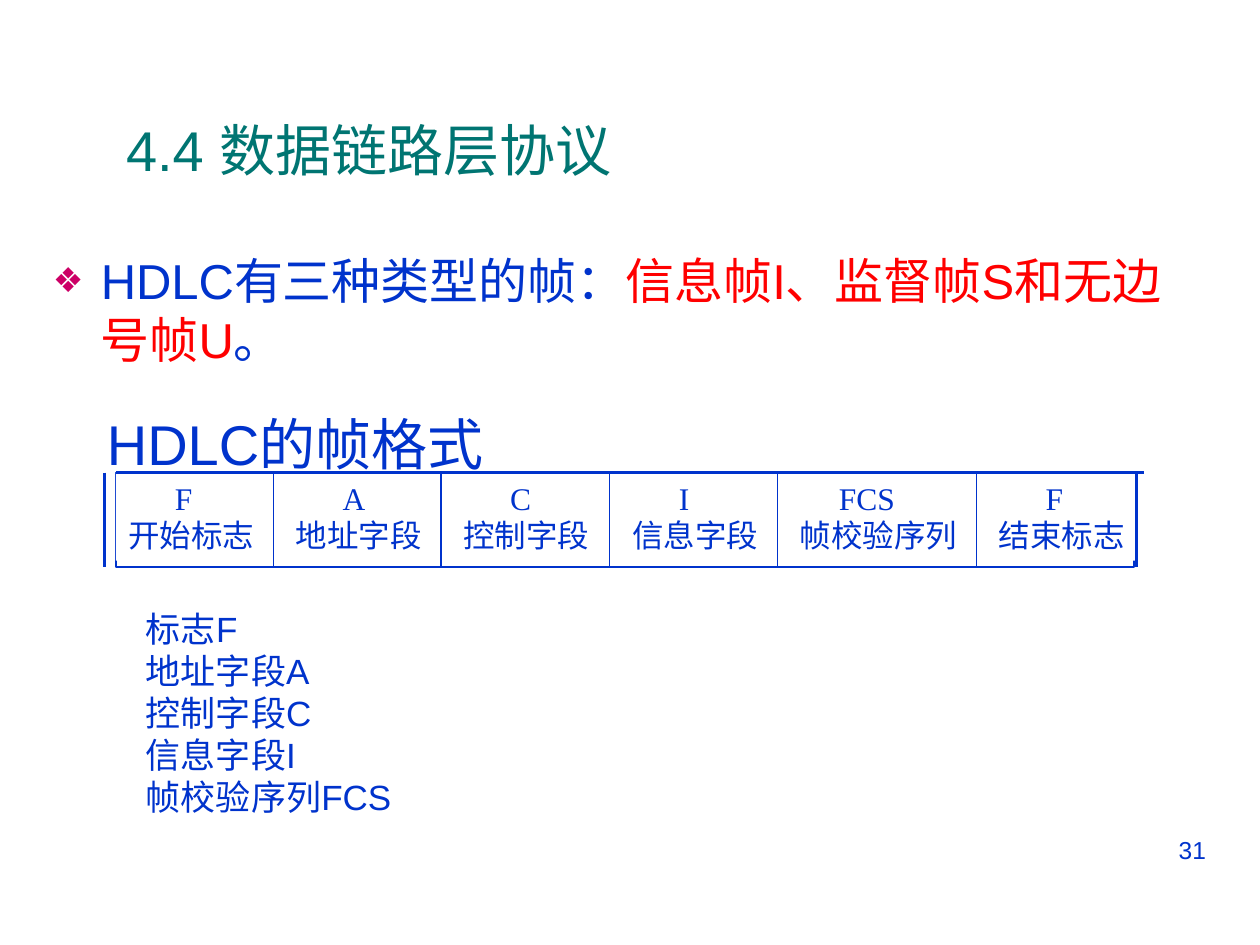
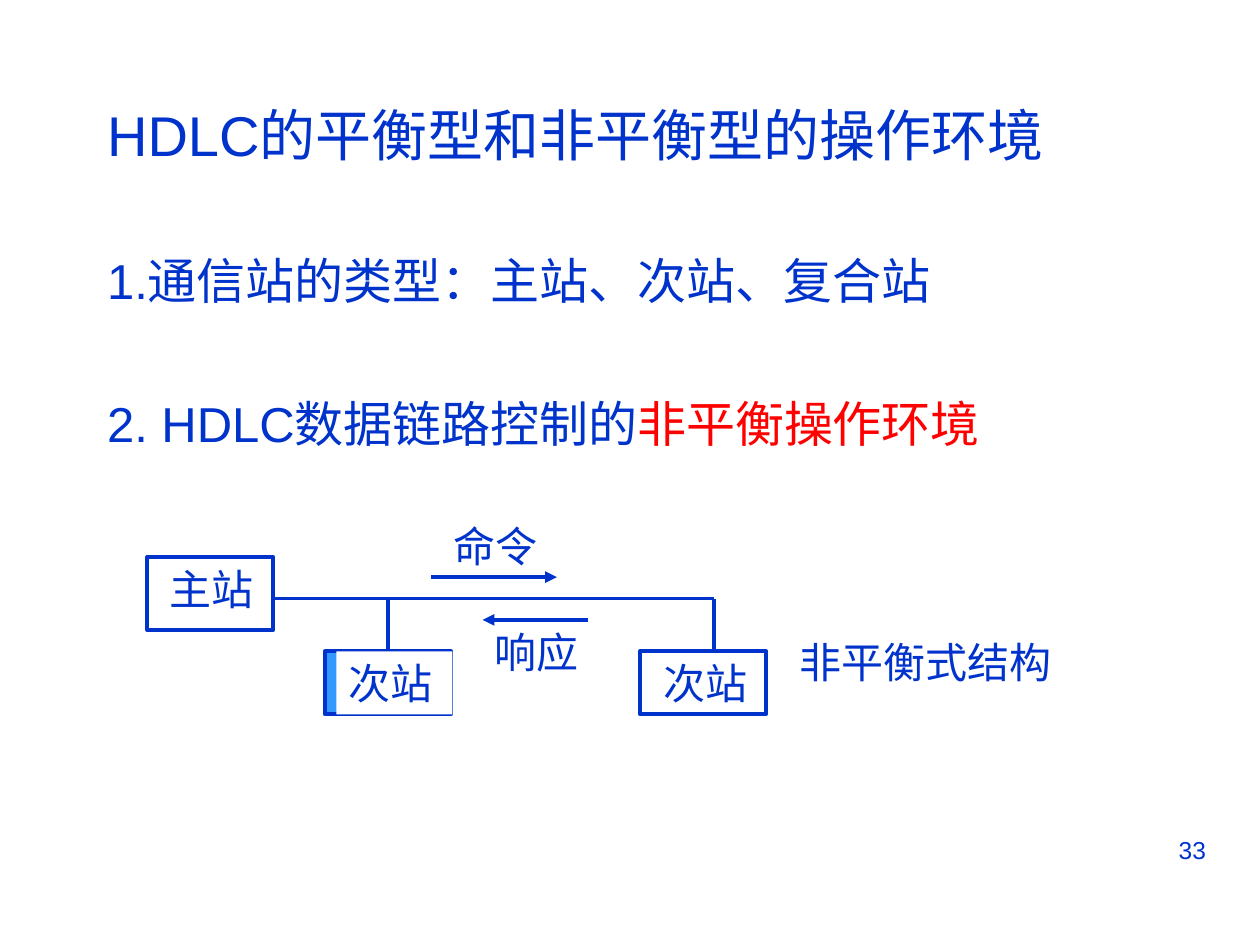
from lxml import etree
from pptx import Presentation
from pptx.dml.color import RGBColor
from pptx.enum.shapes import MSO_CONNECTOR as CONNECTOR, MSO_SHAPE as SHAPE
from pptx.enum.text import MSO_ANCHOR as ANCHOR, MSO_AUTO_SIZE as AUTO_SIZE, PP_ALIGN as ALIGN
from pptx.oxml.ns import qn
from pptx.util import Inches, Pt

COLORS = {"blue": "0033CC", "teal": "007572", "red": "FF0000",
          "magenta": "CC0066", "sky": "3399FF", "white": "FFFFFF"}
SANS, SERIF = "Arial", "Times New Roman"


def color(name):
    """Return the palette colour of that name."""
    return RGBColor.from_string(COLORS[name])


class Deck:
    """Hold the presentation, the shared style and the current slide."""

    def __init__(self):
        """Start an empty 10 by 7.5 inch presentation."""
        self.presentation = Presentation()
        self.presentation.slide_width = Inches(10)
        self.presentation.slide_height = Inches(7.5)
        self.slide = None

    def new_slide(self, number):
        """Add a slide with its page number."""
        layout = self.presentation.slide_layouts[1]
        self.slide = self.presentation.slides.add_slide(layout)
        self.label(str(number), 7.17, 6.58, 2.5, 0.52, size=14, font=SANS, align=ALIGN.RIGHT)

    def place(self, shape, left, top, width, height):
        """Move and size a shape."""
        shape.left, shape.top = Inches(left), Inches(top)
        shape.width, shape.height = Inches(width), Inches(height)

    def indent(self, paragraph, margin, first=0.0):
        """Set the left margin and first-line indent of a paragraph."""
        properties = paragraph._p.get_or_add_pPr()
        properties.set("marL", str(Inches(margin)))
        properties.set("indent", str(Inches(first)))
        return properties

    def style(self, paragraph, size, font, tint="blue", align=ALIGN.LEFT):
        """Format a whole paragraph."""
        paragraph.alignment = align
        paragraph.space_before = Pt(0)
        paragraph.font.size = Pt(size)
        paragraph.font.name = font
        if tint:
            paragraph.font.color.rgb = color(tint)

    def fill_text(self, shape, lines, size, font, align=ALIGN.LEFT):
        """Fill a shape with one paragraph per line, from the top."""
        frame = shape.text_frame
        frame.word_wrap = True
        frame.vertical_anchor = ANCHOR.TOP
        frame.text = lines
        for paragraph in frame.paragraphs:
            self.style(paragraph, size, font, align=align)

    def title(self, text, left, top, width, height, tint="blue", anchor=ANCHOR.MIDDLE):
        """Fill the title placeholder."""
        shape = self.slide.shapes.title
        self.place(shape, left, top, width, height)
        frame = shape.text_frame
        frame.text = text
        frame.auto_size = AUTO_SIZE.NONE
        frame.vertical_anchor = anchor
        self.style(frame.paragraphs[0], 32, SANS, tint)

    def body(self, items, left, top, width, height, bullet=None, gap=0):
        """Fill the body placeholder with items made of (text, colour) runs."""
        shape = self.slide.placeholders[1]
        self.place(shape, left, top, width, height)
        frame = shape.text_frame
        frame.auto_size = AUTO_SIZE.NONE
        for index, runs in enumerate(items):
            paragraph = frame.paragraphs[0] if index == 0 else frame.add_paragraph()
            if bullet:
                properties = self.indent(paragraph, 0.38, -0.38)
                tint = etree.SubElement(properties, qn("a:buClr"))
                etree.SubElement(tint, qn("a:srgbClr"), val=COLORS["magenta"])
                etree.SubElement(properties, qn("a:buSzPct"), val="70000")
                etree.SubElement(properties, qn("a:buChar"), char=bullet)
            else:
                properties = self.indent(paragraph, 0)
                etree.SubElement(properties, qn("a:buNone"))
            self.style(paragraph, 28, SANS, None)
            if index:
                paragraph.space_before = Pt(gap)
            for text, name in runs:
                run = paragraph.add_run()
                run.text = text
                run.font.color.rgb = color(name)

    def label(self, text, left, top, width, height, size=24, font=SERIF, align=ALIGN.LEFT):
        """Add a text box."""
        shape = self.slide.shapes.add_textbox(
            Inches(left), Inches(top), Inches(width), Inches(height))
        self.fill_text(shape, text, size, font, align)

    def box(self, left, top, width, height, fill="white", line=None):
        """Add a rectangle, outlined when a line width is given."""
        shape = self.slide.shapes.add_shape(
            SHAPE.RECTANGLE, Inches(left), Inches(top), Inches(width), Inches(height))
        shape.shadow.inherit = False
        shape.fill.solid()
        shape.fill.fore_color.rgb = color(fill)
        if line:
            shape.line.color.rgb = color("blue")
            shape.line.width = Pt(line)
        else:
            shape.line.fill.background()
        return shape

    def line(self, start, end, width=2.25, arrow=False):
        """Add a straight line, with an arrowhead at its end on request."""
        connector = self.slide.shapes.add_connector(
            CONNECTOR.STRAIGHT, *(Inches(value) for value in (*start, *end)))
        connector.line.color.rgb = color("blue")
        connector.line.width = Pt(width)
        properties = connector._element.spPr
        if arrow:
            etree.SubElement(properties.get_or_add_ln(), qn("a:tailEnd"), type="triangle")
        etree.SubElement(properties, qn("a:effectLst"))
        return connector


def frame_format_slide(deck):
    """Build the slide on HDLC frame types and fields."""
    deck.new_slide(31)
    deck.title("4.4 数据链路层协议", 0.9, 0.75, 8.77, 0.87, tint="teal")
    deck.body([[("HDLC有三种类型的帧：", "blue"),
                ("信息帧I、监督帧S和无边号帧U", "red"), ("。", "blue")]],
              0.32, 1.94, 9.34, 1.2, bullet="❖")
    deck.label("HDLC的帧格式", 0.75, 3.2, 8.5, 0.55, size=32, font=SANS)

    top, bottom = 3.75, 4.5
    fields = [("F", "开始标志", 0.92, 1.25), ("A", "地址字段", 2.25, 1.25),
              ("C", "控制字段", 3.58, 1.25), ("I", "信息字段", 4.92, 1.25),
              ("FCS", "帧校验序列", 6.25, 1.58), ("F", "结束标志", 7.83, 1.25)]
    deck.box(0.92, top, 8.08, bottom - top, line=0.75)
    for symbol, name, left, width in fields:
        cell = deck.box(left, top, width, 0.7)
        deck.fill_text(cell, f"{symbol}\n{name}", 18, SERIF)
        deck.indent(cell.text_frame.paragraphs[0], 0.31 if symbol == "FCS" else 0.37)
    for _, _, left, _ in fields[1:]:
        deck.line((left - 0.08, top), (left - 0.08, bottom), 0.75)
    deck.line((0.92, top), (9.08, top), 1.75)
    for side in (0.83, 9.02):
        deck.line((side, top), (side, bottom), 1.75)

    deck.label("标志F\n地址字段A\n控制字段C\n信息字段I\n帧校验序列FCS",
               1.06, 4.77, 7.87, 2.28, size=20, font=SANS)


def unbalanced_slide(deck):
    """Build the slide on the unbalanced operating environment."""
    deck.new_slide(33)
    deck.title("HDLC的平衡型和非平衡型的操作环境", 0.75, 0.75, 8.67, 0.8, anchor=ANCHOR.TOP)
    deck.body([[("1.通信站的类型：主站、次站、复合站", "blue")],
               [("2. HDLC数据链路控制的", "blue"), ("非平衡操作环境", "red")]],
              0.75, 1.94, 8.67, 2, gap=48)

    bus = 4.75
    deck.box(1.17, 4.42, 1, 0.58, line=2.25)
    deck.label("主站", 1.25, 4.42, 1.42, 0.5)
    first_secondary = deck.box(2.58, 5.17, 1, 0.5, fill="sky", line=2.25)
    deck.fill_text(deck.box(2.67, 5.17, 0.92, 0.5), "次站", 24, SERIF)
    deck.box(5.08, 5.17, 1, 0.5, line=2.25)
    deck.label("次站", 5.17, 5.17, 1.42, 0.5)

    deck.line((2.17, bus), (5.67, bus))
    deck.line((3.08, 5.17), (3.08, bus)).begin_connect(first_secondary, 0)
    deck.line((5.67, bus), (5.67, 5.17))
    deck.label("命令", 3.5, 4.08, 1.08, 0.5)
    deck.line((3.42, 4.58), (4.42, 4.58), arrow=True)
    deck.line((4.67, 4.92), (3.83, 4.92), arrow=True)
    deck.label("响应", 3.83, 4.92, 1.42, 0.5)
    deck.label("非平衡式结构", 6.25, 5, 2.33, 0.5)


def main():
    """Build and save both slides."""
    deck = Deck()
    frame_format_slide(deck)
    unbalanced_slide(deck)
    deck.presentation.save("out.pptx")


if __name__ == "__main__":
    main()
